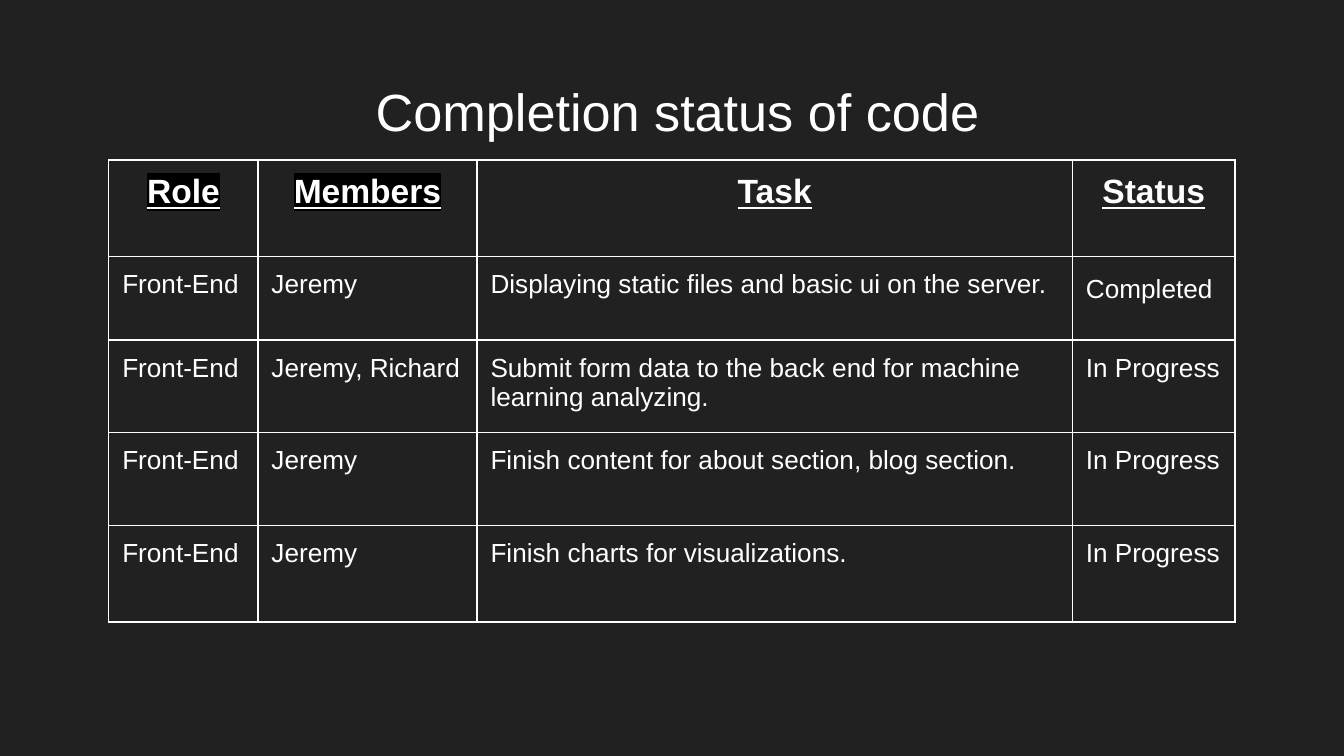
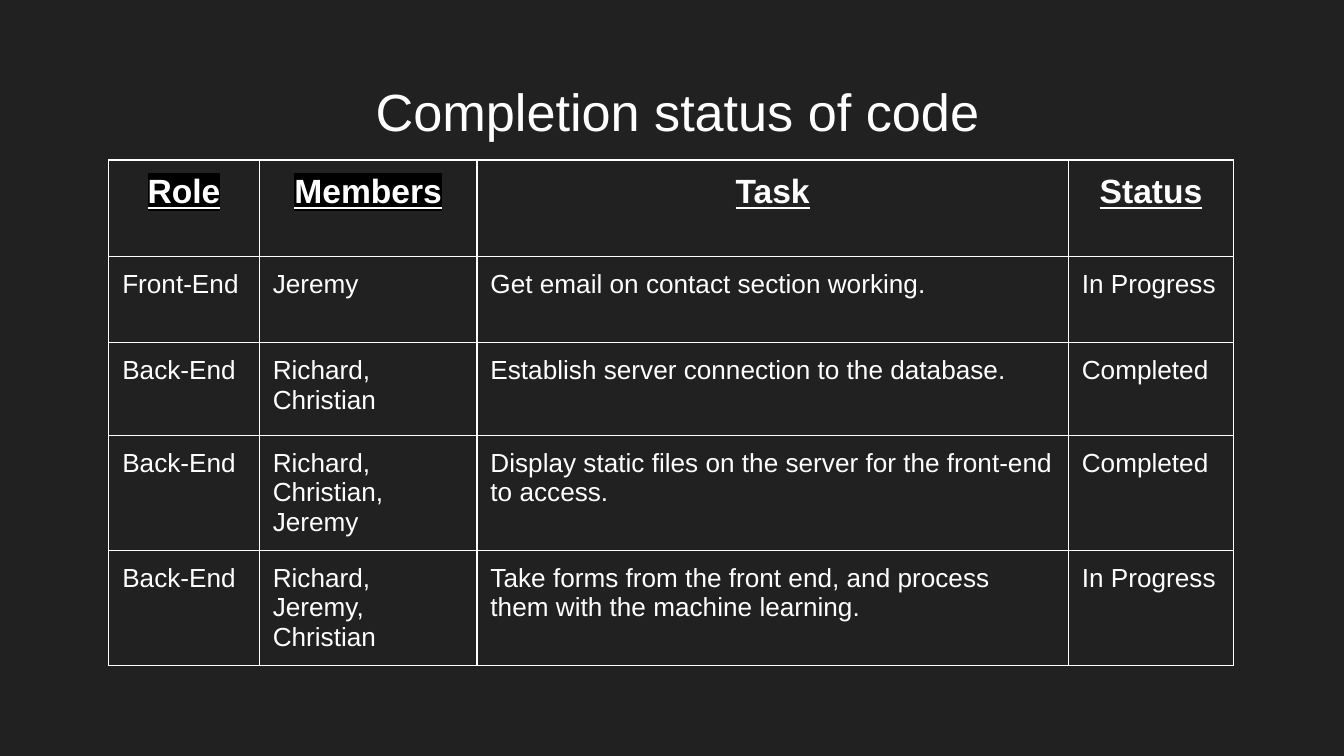
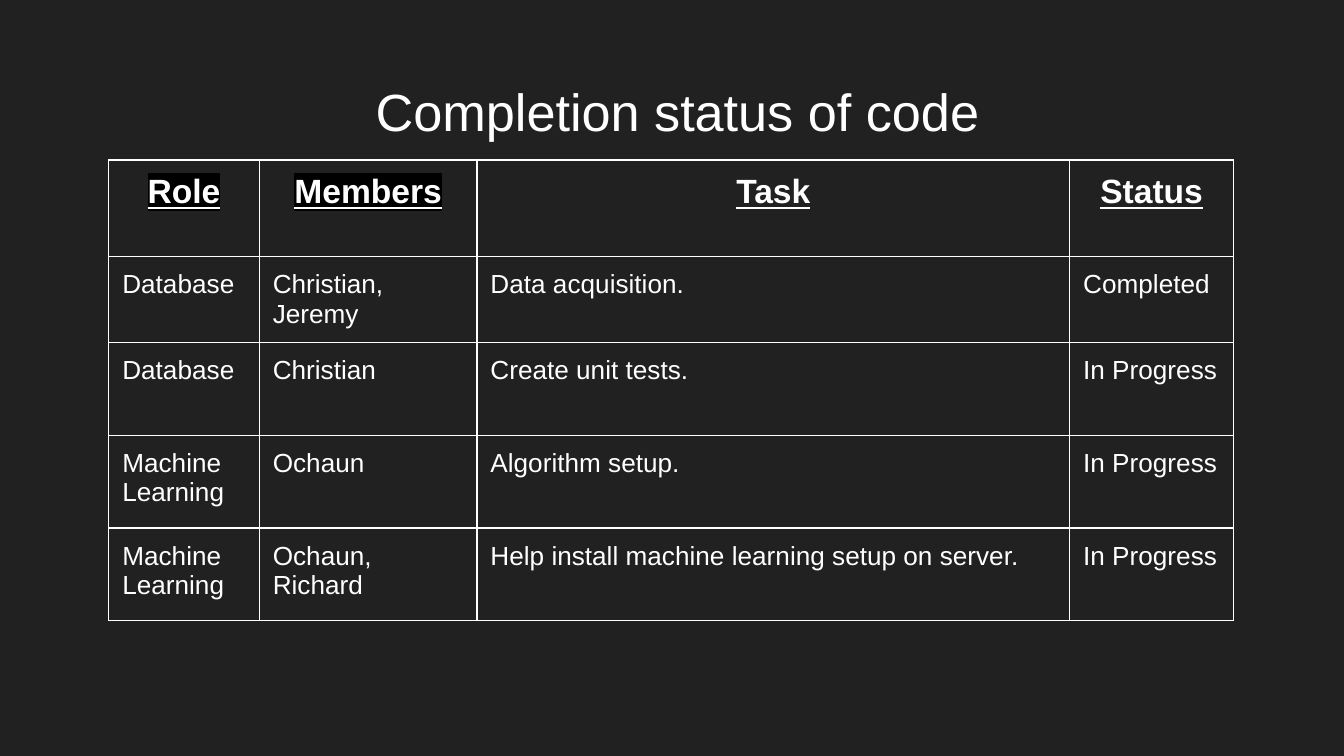
from dataclasses import dataclass

from lxml.etree import SubElement
from pptx import Presentation
from pptx.dml.color import RGBColor
from pptx.enum.text import MSO_ANCHOR, MSO_AUTO_SIZE, PP_ALIGN
from pptx.oxml.ns import qn
from pptx.slide import Slide
from pptx.table import _Cell
from pptx.text.text import _Paragraph, _Run
from pptx.util import Inches, Pt

BACKGROUND = "212121"
FOREGROUND = "FFFFFF"
HIGHLIGHT = "000000"
FONT = "Arial"
TITLE = "Completion status of code"
HEADERS = ("Role", "Members", "Task", "Status")
HIGHLIGHTED = ("Role", "Members")
INSET = Inches(0.1)
BORDER = Pt(0.75)


@dataclass
class Row:
    role: str
    members: str
    task: str
    status: str
    spaced_status: bool = False

    def texts(self) -> tuple[str, ...]:
        return self.role, self.members, self.task, self.status


@dataclass
class StatusPage:
    widths: tuple[float, ...]
    heights: tuple[float, ...]
    rows: list[Row]


PAGES = [
    StatusPage((1.11, 1.63, 4.43, 1.21), (0.72, 0.62, 0.69, 0.69, 0.72), [
        Row("Front-End", "Jeremy", "Displaying static files and basic ui on the server.",
            "Completed", spaced_status=True),
        Row("Front-End", "Jeremy, Richard",
            "Submit form data to the back end for machine learning analyzing.", "In Progress"),
        Row("Front-End", "Jeremy", "Finish content for about section, blog section.", "In Progress"),
        Row("Front-End", "Jeremy", "Finish charts for visualizations.", "In Progress"),
    ]),
    StatusPage((1.12, 1.62, 4.4, 1.23), (0.72, 0.64, 0.69, 0.69, 0.72), [
        Row("Front-End", "Jeremy", "Get email on contact section working.", "In Progress"),
        Row("Back-End", "Richard, Christian", "Establish server connection to the database.",
            "Completed"),
        Row("Back-End", "Richard, Christian, Jeremy",
            "Display static files on the server for the front-end to access.", "Completed"),
        Row("Back-End", "Richard, Jeremy, Christian",
            "Take forms from the front end, and process them with the machine learning.",
            "In Progress"),
    ]),
    StatusPage((1.12, 1.62, 4.41, 1.22), (0.72, 0.64, 0.69, 0.69, 0.69), [
        Row("Database", "Christian, Jeremy", "Data acquisition.", "Completed"),
        Row("Database", "Christian", "Create unit tests.", "In Progress"),
        Row("Machine Learning", "Ochaun", "Algorithm setup.", "In Progress"),
        Row("Machine Learning", "Ochaun, Richard",
            "Help install machine learning setup on server.", "In Progress"),
    ]),
]


def rgb(value: str) -> RGBColor:
    return RGBColor.from_string(value)


def add_run(p: _Paragraph, text: str, size: int, strong: bool = False) -> _Run:
    r = p.add_run()
    r.text = text
    r.font.name = FONT
    r.font.size = Pt(size)
    r.font.bold = strong
    r.font.underline = strong
    r.font.color.rgb = rgb(FOREGROUND)
    return r


def highlight(r: _Run) -> None:
    props = r.font._element
    mark = SubElement(props, qn("a:highlight"))
    SubElement(mark, qn("a:srgbClr"), val=HIGHLIGHT)
    props.find(qn("a:solidFill")).addnext(mark)


def format_cell(cell: _Cell) -> None:
    props = cell._tc.get_or_add_tcPr()
    for side in ("L", "R", "T", "B"):
        line = SubElement(props, qn(f"a:ln{side}"), w=str(BORDER))
        fill = SubElement(line, qn("a:solidFill"))
        SubElement(fill, qn("a:srgbClr"), val=FOREGROUND)
    cell.fill.background()
    cell.margin_left = cell.margin_right = INSET
    cell.margin_top = cell.margin_bottom = INSET
    cell.vertical_anchor = MSO_ANCHOR.TOP


def add_title(s: Slide) -> None:
    sp = s.shapes.title
    sp.left, sp.top = Inches(0.9), Inches(0.49)
    sp.width, sp.height = Inches(8.28), Inches(0.63)
    tf = sp.text_frame
    tf.word_wrap = True
    tf.auto_size = MSO_AUTO_SIZE.NONE
    tf.vertical_anchor = MSO_ANCHOR.TOP
    tf.margin_left = tf.margin_right = INSET
    tf.margin_top = tf.margin_bottom = INSET
    p = tf.paragraphs[0]
    p.alignment = PP_ALIGN.CENTER
    add_run(p, TITLE, 28)


def add_status_table(s: Slide, page: StatusPage) -> None:
    table = s.shapes.add_table(
        len(page.heights), len(page.widths), Inches(0.81), Inches(1.19),
        Inches(sum(page.widths)), Inches(sum(page.heights))).table
    table.first_row = False
    table.horz_banding = False
    for column, width in zip(table.columns, page.widths):
        column.width = Inches(width)
    for row, height in zip(table.rows, page.heights):
        row.height = Inches(height)
    for cell in table.iter_cells():
        format_cell(cell)
    for j, text in enumerate(HEADERS):
        p = table.cell(0, j).text_frame.paragraphs[0]
        p.alignment = PP_ALIGN.CENTER
        r = add_run(p, text, 18, strong=True)
        if text in HIGHLIGHTED:
            highlight(r)
    for i, row in enumerate(page.rows, 1):
        for j, text in enumerate(row.texts()):
            p = table.cell(i, j).text_frame.paragraphs[0]
            p.alignment = PP_ALIGN.LEFT
            add_run(p, text, 14)
        if row.spaced_status:
            p.line_spacing = 1.15
            p.space_after = Pt(16)


def main() -> None:
    prs = Presentation()
    prs.slide_width = Inches(10)
    prs.slide_height = prs.slide_width * 9 // 16
    fill = prs.slide_master.background.fill
    fill.solid()
    fill.fore_color.rgb = rgb(BACKGROUND)
    for page in PAGES:
        s = prs.slides.add_slide(prs.slide_layouts.get_by_name("Title Only"))
        add_title(s)
        add_status_table(s, page)
    prs.save("out.pptx")


if __name__ == "__main__":
    main()
